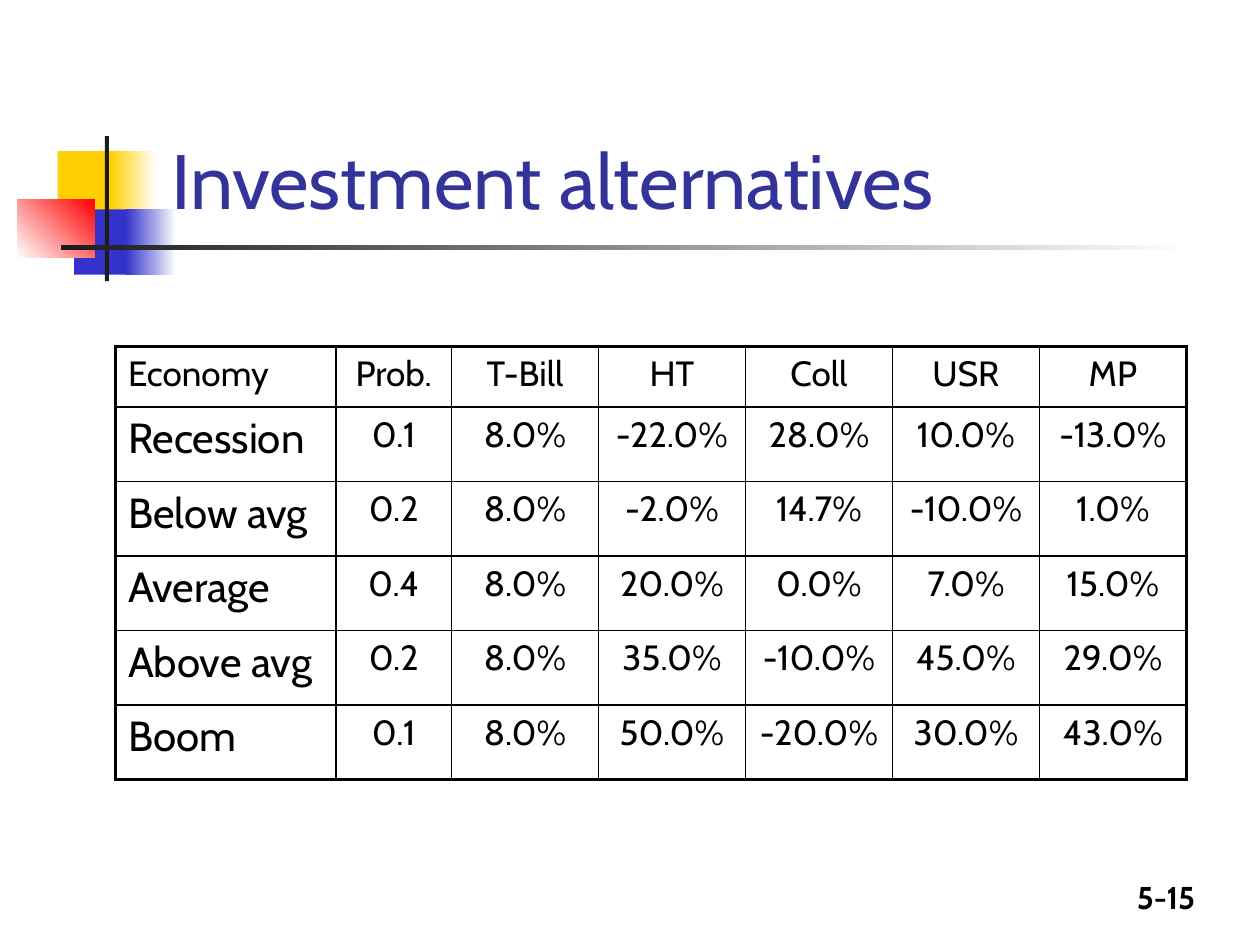
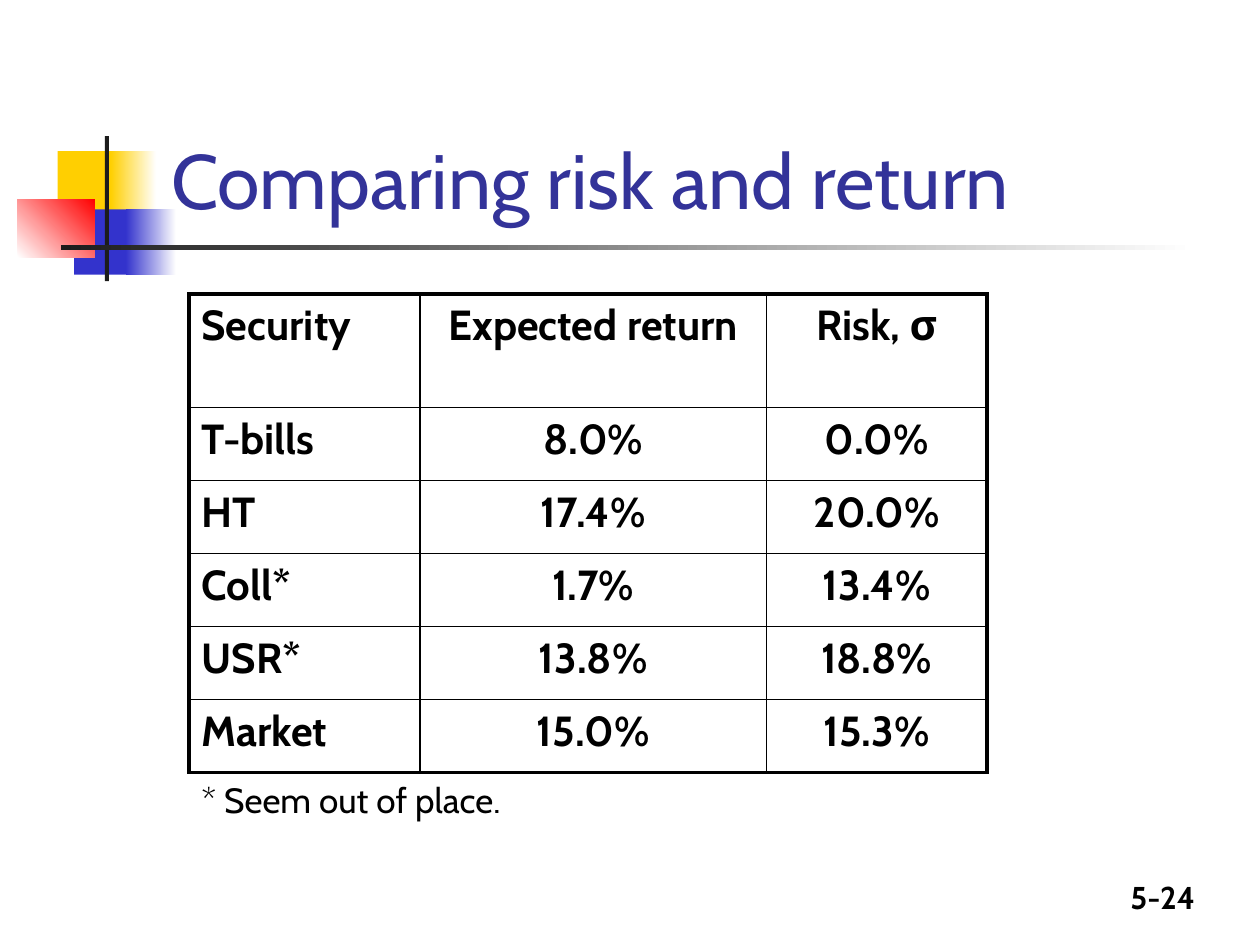
from lxml import etree
from pptx import Presentation
from pptx.dml.color import RGBColor
from pptx.enum.shapes import MSO_SHAPE
from pptx.enum.text import MSO_ANCHOR, PP_ALIGN
from pptx.oxml.ns import qn
from pptx.util import Pt

RECT = MSO_SHAPE.RECTANGLE
LEFT, CENTER, RIGHT = PP_ALIGN.LEFT, PP_ALIGN.CENTER, PP_ALIGN.RIGHT
TOP, BOTTOM = MSO_ANCHOR.TOP, MSO_ANCHOR.BOTTOM

FONT = "Cabin"
BLACK = RGBColor(0x00, 0x00, 0x00)
WHITE = RGBColor(0xFF, 0xFF, 0xFF)
CHARCOAL = RGBColor(0x1C, 0x1C, 0x1C)
YELLOW = RGBColor(0xFF, 0xCF, 0x01)
BLUE = RGBColor(0x33, 0x33, 0xCC)
RED = RGBColor(0xFF, 0x00, 0x00)
TITLE_BLUE = RGBColor(0x33, 0x33, 0x99)

THIN, THICK = 1, 2.25

ALTERNATIVES = [
    ["Economy", "Prob.", "T-Bill", "HT", "Coll", "USR", "MP"],
    ["Recession", "0.1", "8.0%", "-22.0%", "28.0%", "10.0%", "-13.0%"],
    ["Below avg", "0.2", "8.0%", "-2.0%", "14.7%", "-10.0%", "1.0%"],
    ["Average", "0.4", "8.0%", "20.0%", "0.0%", "7.0%", "15.0%"],
    ["Above avg", "0.2", "8.0%", "35.0%", "-10.0%", "45.0%", "29.0%"],
    ["Boom", "0.1", "8.0%", "50.0%", "-20.0%", "30.0%", "43.0%"],
]
RISK_RETURN = [
    ["Security", "Expected return", "Risk, σ"],
    ["T-bills", "8.0%", "0.0%"],
    ["HT", "17.4%", "20.0%"],
    ["Coll*", "1.7%", "13.4%"],
    ["USR*", "13.8%", "18.8%"],
    ["Market", "15.0%", "15.3%"],
]


def write(tf, text, size=20, color=BLACK, bold=False, align=LEFT, spacing=1.0):
    p = tf.paragraphs[0]
    p.alignment = align
    p.line_spacing = spacing
    r = p.add_run()
    r.text = text
    r.font.name = FONT
    r.font.size = Pt(size)
    r.font.bold = bold
    r.font.color.rgb = color


def add_text(s, box, text, anchor=TOP, **fmt):
    tf = s.shapes.add_textbox(*map(Pt, box)).text_frame
    tf.word_wrap = True
    tf.vertical_anchor = anchor
    write(tf, text, **fmt)


def add_rect(s, box, color, fade_to=None, angle=0):
    sp = s.shapes.add_shape(RECT, *map(Pt, box))
    sp.shadow.inherit = False
    sp.line.fill.background()
    if fade_to is None:
        sp.fill.solid()
        sp.fill.fore_color.rgb = color
    else:
        sp.fill.gradient()
        sp.fill.gradient_angle = angle
        for stop, stop_color in zip(sp.fill.gradient_stops, (color, fade_to)):
            stop.color.rgb = stop_color


def add_emblem(s, x, y):
    add_rect(s, (x + 23, y + 8.6, 34.6, 37.4), YELLOW)
    add_rect(s, (x + 53.3, y + 8.6, 26, 37.4), YELLOW, WHITE)
    add_rect(s, (x + 32.4, y + 41.8, 33.1, 37.4), BLUE)
    add_rect(s, (x + 62, y + 41.8, 28.8, 37.4), BLUE, WHITE)
    add_rect(s, (x, y + 36, 44.3, 33.4), WHITE, RED, angle=45)
    add_rect(s, (x + 49.9, y, 2.4, 82.8), CHARCOAL)
    add_rect(s, (x + 24.8, y + 62.4, 648, 2.4), CHARCOAL, WHITE)


def add_slide(prs, title, number):
    s = prs.slides.add_slide(prs.slide_layouts[6])
    add_emblem(s, 10, 77.8)
    add_text(s, (540, 498.2, 150, 28.8), number, size=18, bold=True, align=RIGHT)
    add_text(s, (90.7, 16.6, 613.4, 115.2), title, anchor=BOTTOM,
             size=44, color=TITLE_BLUE)
    return s


def set_borders(cell, widths):
    tc_pr = cell._tc.get_or_add_tcPr()
    for i, (tag, width) in enumerate(zip(("lnL", "lnR", "lnT", "lnB"), widths)):
        ln = etree.Element(qn("a:" + tag), w=str(Pt(width)))
        fill = etree.SubElement(ln, qn("a:solidFill"))
        etree.SubElement(fill, qn("a:srgbClr"), val=str(BLACK))
        tc_pr.insert(i, ln)


def add_grid(s, x, y, rows, col_widths, row_heights, label_size, size, bold=False):
    n_rows, n_cols = len(rows), len(col_widths)
    table = s.shapes.add_table(n_rows, n_cols, Pt(x), Pt(y), Pt(sum(col_widths)),
                               Pt(sum(row_heights))).table
    table.first_row = table.horz_banding = False
    for col, width in zip(table.columns, col_widths):
        col.width = Pt(width)
    for row, height in zip(table.rows, row_heights):
        row.height = Pt(height)
    for i, values in enumerate(rows):
        for j, value in enumerate(values):
            cell = table.cell(i, j)
            cell.fill.background()
            outer = (j == 0, j == n_cols - 1, i == 0, i == n_rows - 1)
            set_borders(cell, [THICK if edge else THIN for edge in outer])
            write(cell.text_frame, value, bold=bold,
                  size=label_size if i and j == 0 else size,
                  align=CENTER if j else LEFT)


def alternatives_slide(prs):
    s = add_slide(prs, "Investment alternatives", "5-15")
    add_grid(s, 66, 198, ALTERNATIVES, [126, 66] + [84] * 5,
             [34.5] + [42.6] * 5, label_size=24, size=20)


def risk_return_slide(prs):
    s = add_slide(prs, "Comparing risk and return", "5-24")
    x, y = 108, 168
    add_grid(s, x, y, RISK_RETURN, [132, 198, 126],
             [64.8] + [41.7] * 5, label_size=24, size=24, bold=True)
    add_text(s, (x, y + 276, 216, 36), "* Seem out of place.", spacing=0.9)


def main():
    prs = Presentation()
    prs.slide_width, prs.slide_height = Pt(720), Pt(540)
    alternatives_slide(prs)
    risk_return_slide(prs)
    prs.save("out.pptx")


if __name__ == "__main__":
    main()
